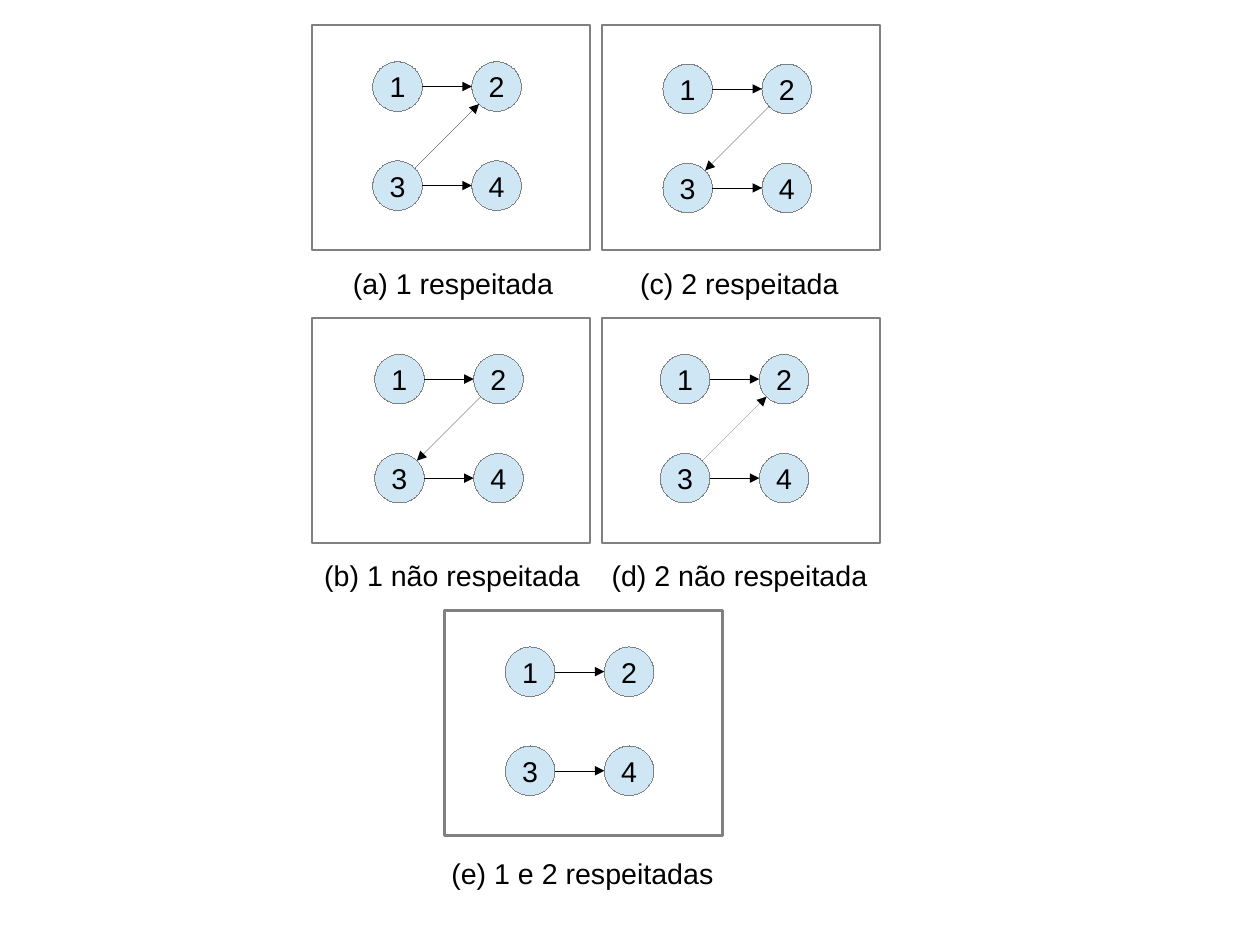
import math

import pptx
import pptx.util
import pptx.dml.color
import pptx.enum.shapes
import pptx.enum.text
import pptx.oxml.ns
from lxml import etree

Pt = pptx.util.Pt
RGB = pptx.dml.color.RGBColor.from_string
SHAPES = pptx.enum.shapes.MSO_SHAPE
qn = pptx.oxml.ns.qn

# caption, panel left, row, graph offset in panel, caption centre and top in panel, edges
PANELS = [
    ("(a) 1 respeitada", 196.6, 0, (38.2, 23), (88.8, 150.5), [(1, 2), (3, 2), (3, 4)]),
    ("(c) 2 respeitada", 379.4, 0, (38.2, 24.5), (86.4, 150.5), [(1, 2), (3, 4), (2, 3)]),
    ("(b) 1 não respeitada", 196.6, 1, (39.4, 23), (88.2, 150.2), [(1, 2), (3, 4), (2, 3)]),
    ("(d) 2 não respeitada", 379.4, 1, (36.5, 23), (86.4, 150.2), [(1, 2), (3, 2), (3, 4)]),
    ("(e) 1 e 2 respeitadas", 280.1, 2, (38.2, 23), (86.8, 153.4), [(1, 2), (3, 4)]),
]
NODE_CELLS = {1: (0, 0), 2: (1, 0), 3: (0, 1), 4: (1, 1)}  # column, row

SLIDE_SIZE = (793.7, 595.28)
PANEL_TOP, PANEL_PITCH = 15.9, 184.3
PANEL_SIZE = (175, 141.8)
NODE_SIZE, NODE_PITCH = 31.2, 62.4
CAPTION_SIZE = (180, 23.8)

# A width of exactly zero would fall back to the theme's line, so hairline is just above it.
THEME = {
    "font": "Arial", "size": 18, "text": "000000",
    "outline": "808080", "node": "CFE7F5", "arrow": "000000",
    "panel_line": 1.5, "hairline": 0.01,
}

# Each ellipse has eight connection sites, anticlockwise from the top.
EXIT_SITES = {(1, 0): 6, (1, -1): 7, (-1, 1): 3}


def write(shape, text):
    frame = shape.text_frame
    frame.word_wrap = False
    frame.vertical_anchor = pptx.enum.text.MSO_ANCHOR.MIDDLE
    paragraph = frame.paragraphs[0]
    paragraph.text = text
    paragraph.alignment = pptx.enum.text.PP_ALIGN.CENTER
    paragraph.font.name = THEME["font"]
    paragraph.font.size = Pt(THEME["size"])
    paragraph.font.color.rgb = RGB(THEME["text"])


def add_outlined(slide, kind, left, top, width, height, line_width):
    shape = slide.shapes.add_shape(kind, Pt(left), Pt(top), Pt(width), Pt(height))
    shape.shadow.inherit = False
    shape.line.color.rgb = RGB(THEME["outline"])
    shape.line.width = Pt(line_width)
    return shape


def add_node(slide, number, left, top):
    node = add_outlined(slide, SHAPES.OVAL, left, top, NODE_SIZE, NODE_SIZE,
                        THEME["hairline"])
    node.fill.solid()
    node.fill.fore_color.rgb = RGB(THEME["node"])
    write(node, str(number))
    return node


def add_edge(slide, nodes, source, target, graph_left, graph_top):
    """Draw an arrow between the rims of two nodes and glue its ends to them."""
    (col1, row1), (col2, row2) = NODE_CELLS[source], NODE_CELLS[target]
    step = (col2 - col1, row2 - row1)
    radius = NODE_SIZE / 2
    trim = [radius * part / math.hypot(*step) for part in step]

    def rim(col, row, sign):
        return (Pt(graph_left + radius + col * NODE_PITCH + sign * trim[0]),
                Pt(graph_top + radius + row * NODE_PITCH + sign * trim[1]))

    edge = slide.shapes.add_connector(pptx.enum.shapes.MSO_CONNECTOR.STRAIGHT,
                                      *rim(col1, row1, 1), *rim(col2, row2, -1))
    edge.line.color.rgb = RGB(THEME["arrow"])
    edge.line.width = Pt(THEME["hairline"])
    properties = edge.element.spPr
    etree.SubElement(properties.find(qn("a:ln")), qn("a:tailEnd"), type="triangle")
    etree.SubElement(properties, qn("a:effectLst"))
    glue = edge.element.find(".//" + qn("p:cNvCxnSpPr"))
    site = EXIT_SITES[step]
    for tag, node, index in (("a:stCxn", source, site), ("a:endCxn", target, (site + 4) % 8)):
        etree.SubElement(glue, qn(tag), id=str(nodes[node].shape_id), idx=str(index))


def add_panel(slide, caption, left, row, graph_offset, caption_offset, edges):
    top = PANEL_TOP + row * PANEL_PITCH
    panel = add_outlined(slide, SHAPES.RECTANGLE, left, top, *PANEL_SIZE,
                         THEME["panel_line"])
    panel.fill.background()

    graph_left, graph_top = left + graph_offset[0], top + graph_offset[1]
    nodes = {
        number: add_node(slide, number, graph_left + col * NODE_PITCH,
                         graph_top + node_row * NODE_PITCH)
        for number, (col, node_row) in NODE_CELLS.items()
    }
    for source, target in edges:
        add_edge(slide, nodes, source, target, graph_left, graph_top)

    width, height = CAPTION_SIZE
    label = slide.shapes.add_textbox(Pt(left + caption_offset[0] - width / 2),
                                     Pt(top + caption_offset[1]), Pt(width), Pt(height))
    write(label, caption)


def main():
    deck = pptx.Presentation()
    deck.slide_width, deck.slide_height = map(Pt, SLIDE_SIZE)
    slide = deck.slides.add_slide(deck.slide_layouts[6])
    for panel in PANELS:
        add_panel(slide, *panel)
    deck.save("out.pptx")


if __name__ == "__main__":
    main()
